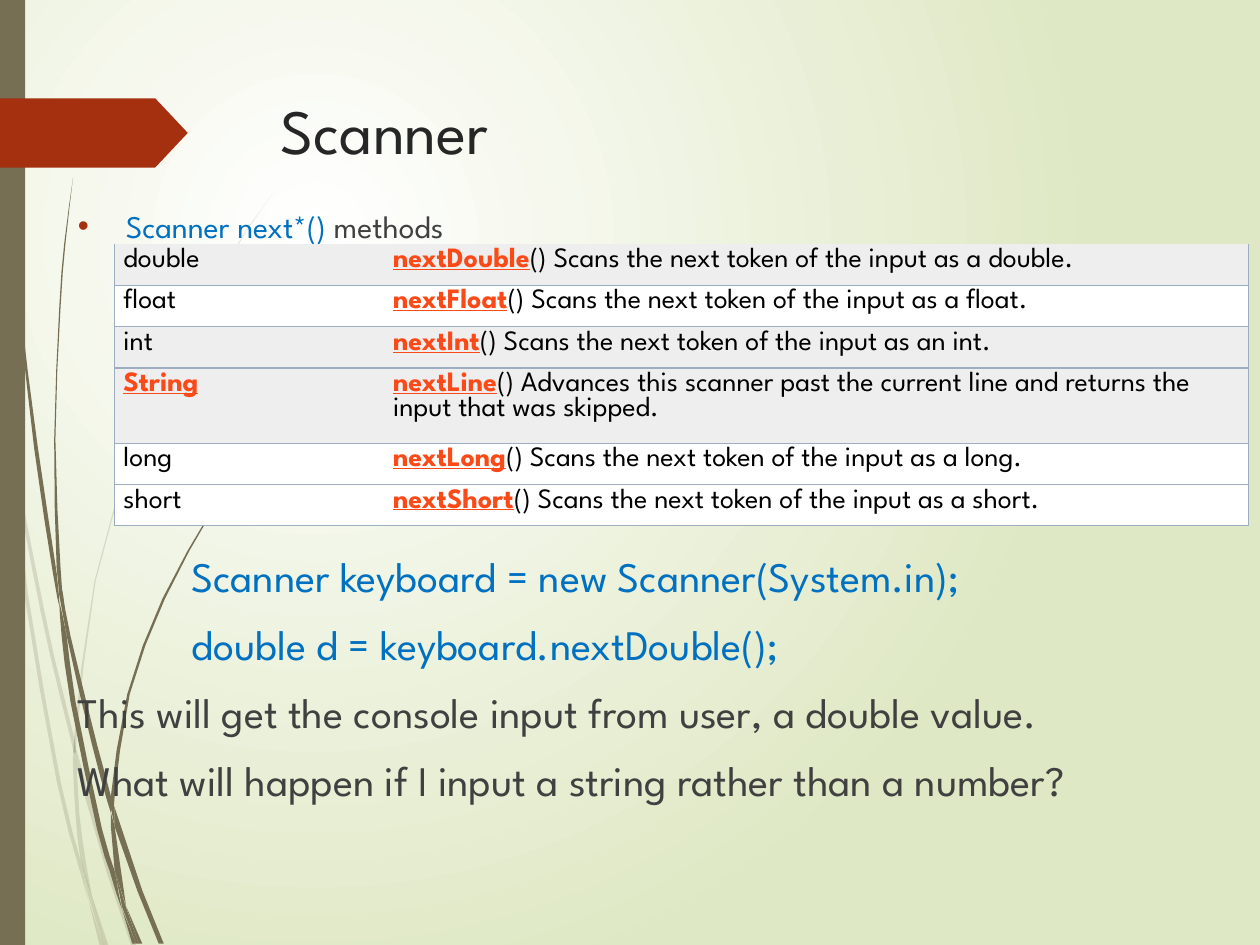
from pptx import Presentation
from pptx.dml.color import RGBColor
from pptx.enum.shapes import MSO_SHAPE
from pptx.oxml import parse_xml
from pptx.oxml.ns import nsdecls, qn
from pptx.util import Inches, Pt

RECT, ARROW = MSO_SHAPE.RECTANGLE, MSO_SHAPE.PENTAGON

THEME = {
    "font": "League Spartan", "olive": "766F54", "rust": "A53010",
    "pale": "DFE8C4", "white": "FFFFFF", "grey": "EEEEEF", "rule": "9EADC0",
    "dark": "262626", "text": "404040", "blue": "0070C0", "link": "FB4A18",
    "black": "000000", "title": 36, "body": 24, "lead": 18, "cell": 16,
}

TITLE = "Scanner"
LEAD = [("Scanner next*()", "blue"), (" methods", "text")]
# text, colour, left indent in inches, space before in points
LINES = [
    ("Scanner keyboard = new Scanner(System.in);", "blue", 0.9, 175),
    ("double d = keyboard.nextDouble();", "blue", 0.9, 10),
    ("This will get the console input from user, a double value.", "text", 0, 10),
    ("What will happen if I input a string rather than a number?", "text", 0, 10),
]
SCAN = "() Scans the next token of the input as "
# type, method, rest, fill
ROWS = [
    ("double", "nextDouble", SCAN + "a\u00a0double.", "grey"),
    ("float", "nextFloat", SCAN + "a\u00a0float.", "white"),
    ("int", "nextInt", SCAN + "an\u00a0int.", "grey"),
    ("String", "nextLine", "() Advances this scanner past the current line "
     "and returns the input that was skipped.", "grey"),
    ("long", "nextLong", SCAN + "a\u00a0long.", "white"),
    ("short", "nextShort", SCAN + "a\u00a0short.", "white"),
]
COLS = (2.14, 6.86)
HIGH, TALL = 2.23, 0.6

# Each blade of grass is a list of (y, left edge, right edge).
FAINT = [
    [(2.82, 0, 0), (2.99, 0, .02), (3.22, .04, .06), (3.5, .08, .08)],
    [(3.45, .1, .1), (3.76, .12, .14), (4.49, .25, .28), (5.21, .4, .43),
     (5.86, .56, .59), (5.99, .59, .59)],
    [(5.96, .61, .61), (6.1, .61, .65), (6.93, .85, .88), (7.5, 1.04, 1.08)],
    [(7.11, .73, .73), (7.5, .83, .86)],
    [(3.5, .08, .08), (3.76, .1, .12), (4.7, .19, .22), (6.2, .45, .48),
     (6.83, .61, .64), (6.93, .64, .66), (7.14, .7, .7)],
    [(5.99, .58, .58), (6.1, .58, .61), (6.46, .6, .63), (6.83, .64, .68),
     (7.11, .73, .73)],
    [(1.53, 2.17, 2.17), (1.75, 2.01, 2.01), (1.98, 1.86, 1.87),
     (2.45, 1.58, 1.59), (3.48, 1.1, 1.11), (4.61, .75, .76),
     (5.84, .59, .61), (5.96, .6, .61)],
    [(7.14, .7, .7), (7.5, .79, .82)],
    [(5.86, .59, .59), (5.97, .58, .61), (6.1, .61, .61)],
    [(6.83, .65, .65), (6.92, .66, .67), (7.11, .7, .73), (7.5, .82, .83)],
]
SOLID = [
    [(0, .02, .03), (.48, .03, .04), (1.1, .05, .06), (2.33, .14, .15),
     (3.55, .27, .3), (4.55, .42, .45), (4.81, .47, .47)],
    [(4.72, .5, .5), (5.05, .53, .56), (5.91, .73, .77), (6.32, .84, .88),
     (6.45, .88, .88)],
    [(6.41, .91, .91), (6.56, .91, .96), (7.07, 1.09, 1.13), (7.49, 1.26, 1.3)],
    [(4.77, .47, .47), (5.05, .49, .53), (5.57, .56, .6), (6.58, .77, .81),
     (6.91, .87, .91), (7.08, .92, .94), (7.22, .97, .97)],
    [(1.41, .58, .58), (1.93, .51, .52), (2.45, .47, .48), (3.49, .43, .44),
     (4.5, .45, .48), (4.72, .49, .5)],
    [(7.19, 1, 1), (7.49, 1.1, 1.13)],
    [(4.49, .45, .45), (4.72, .47, .5), (5.05, .53, .53)],
    [(3.44, 2.15, 2.16), (3.73, 1.91, 1.92), (4.05, 1.68, 1.69),
     (4.75, 1.29, 1.31), (5.51, 1.01, 1.03), (6.32, .88, .91), (6.41, .91, .91)],
    [(7.22, .97, .97), (7.49, 1.05, 1.08)],
    [(6.45, .88, .88), (6.56, .88, .91), (6.91, .91, .96), (7.19, 1, 1)],
    [(6.31, .88, .88), (6.41, .88, .91), (6.56, .91, .91)],
    [(6.91, .91, .91), (7.2, .97, 1), (7.49, 1.08, 1.1)],
]


def color(name):
    """Give the theme colour of that name."""
    return RGBColor.from_string(THEME[name])


def paint(shape, name, alpha=None):
    """Fill a shape flat, with no line or shadow."""
    shape.shadow.inherit = False
    shape.fill.solid()
    shape.fill.fore_color.rgb = color(name)
    shape.line.fill.background()
    if alpha:
        tone = shape._element.spPr.find(".//" + qn("a:srgbClr"))
        tone.append(parse_xml(f'<a:alpha {nsdecls("a")} val="{alpha * 1000}"/>'))


def smooth(knots):
    """Add a Catmull-Rom midpoint to each inner span of the knots."""
    ends = [knots[0], *knots, knots[-1]]
    curve = []
    for a, b, c, d in zip(ends, ends[1:], ends[2:], ends[3:]):
        curve.append(b)
        if len(knots) > 4:
            curve.append(tuple((9 * (q + r) - p - s) / 16
                               for p, q, r, s in zip(a, b, c, d)))
    return curve + [knots[-1]]


def blade(shapes, knots, alpha=None):
    """Draw one blade, down its left edge and up its right."""
    rows = smooth(knots)
    edge = [(x, y) for y, x, _ in rows] + [(x, y) for y, _, x in rows[::-1]]
    edge = [(Inches(x), Inches(y)) for x, y in dict.fromkeys(edge)]
    pen = shapes.build_freeform(*edge[0])
    pen.add_line_segments(edge[1:], close=True)
    paint(pen.convert_to_shape(), "olive", alpha)


def write(para, text, size, name, **looks):
    """Add a run with theme font, size and colour."""
    run = para.add_run()
    run.text = text
    form = {"name": THEME["font"], "size": Pt(THEME[size]), **looks}
    for key, val in form.items():
        setattr(run.font, key, val)
    run.font.color.rgb = color(name)


def box(shapes, *place):
    """Add a wrapping text box and give its frame."""
    frame = shapes.add_textbox(*map(Inches, place)).text_frame
    frame.word_wrap = True
    return frame


def indent(para, left, hang=0):
    """Set left margin and hanging indent in inches."""
    props = para._p.get_or_add_pPr()
    props.set("marL", str(Inches(left)))
    props.set("indent", str(-Inches(hang)))
    return props


def border(cell, sides):
    """Rule the named sides of a cell and clear the rest."""
    props = cell._tc.get_or_add_tcPr()
    for at, side in enumerate("LRTB"):
        ink = (f'<a:solidFill><a:srgbClr val="{THEME["rule"]}"/></a:solidFill>'
               if side in sides else "<a:noFill/>")
        props.insert(at, parse_xml(
            f'<a:ln{side} {nsdecls("a")} w="{Pt(0.75)}">{ink}</a:ln{side}>'))


def backdrop(slide):
    """Lay the round gradient, the grass, the bar and the arrow."""
    fill = slide.background.fill
    fill.gradient()
    for stop, name, pos in zip(fill.gradient_stops, ("white", "pale"), (0, 1)):
        stop.color.rgb = color(name)
        stop.position = pos
    lin = slide._element.find(".//" + qn("a:lin"))
    lin.getparent().replace(lin, parse_xml(
        f'<a:path {nsdecls("a")} path="circle"><a:fillToRect l="50000" '
        't="50000" r="100000" b="100000"/></a:path>'))
    for group, alpha in ((FAINT, 20), (SOLID, None)):
        for knots in group:
            blade(slide.shapes, knots, alpha)
    for kind, place, name in ((RECT, (0, 0, 0.2, 7.5), "olive"),
                              (ARROW, (0, 0.78, 1.49, 0.55), "rust")):
        shape = slide.shapes.add_shape(kind, *map(Inches, place))
        paint(shape, name)
    shape.adjustments[0] = 0.47


def words(shapes):
    """Write the title and the body."""
    write(box(shapes, 2.13, 0.68, 7.21, 1.4).paragraphs[0], TITLE, "title", "dark")
    frame = box(shapes, 0.52, 1.59, 10, 5.39)
    para = frame.paragraphs[0]
    props = indent(para, 0.38, 0.38)
    for xml in (f'<a:buClr {nsdecls("a")}><a:srgbClr val="{THEME["rust"]}"/></a:buClr>',
                f'<a:buFont {nsdecls("a")} typeface="Arial"/>',
                f'<a:buChar {nsdecls("a")} char="\u2022"/>'):
        props.append(parse_xml(xml))
    for text, name in LEAD:
        write(para, text, "lead", name)
    for text, name, left, gap in LINES:
        para = frame.add_paragraph()
        indent(para, left)
        para.space_before = Pt(gap)
        write(para, text, "body", name)


def grid(shapes):
    """Build the table of methods."""
    table = shapes.add_table(len(ROWS), len(COLS), *map(
        Inches, (0.91, 1.94, sum(COLS), HIGH))).table
    table.first_row = table.horz_banding = False
    for col, wide in zip(table.columns, COLS):
        col.width = Inches(wide)
    pads = {"margin_left": 0.07, "margin_right": 0.03,
            "margin_top": 0.03, "margin_bottom": 0.03}
    link = {"bold": True, "underline": True}
    short = (HIGH - TALL) / (len(ROWS) - 1)
    for i, (kind, call, rest, tint) in enumerate(ROWS):
        table.rows[i].height = Inches(TALL if kind == "String" else short)
        for cell, side in zip(table.rows[i].cells, "LR"):
            for key, val in pads.items():
                setattr(cell, key, Inches(val))
            cell.fill.solid()
            cell.fill.fore_color.rgb = color(tint)
            border(cell, side + ("TB" if i else "B"))
        left, right = (cell.text_frame.paragraphs[0] for cell in table.rows[i].cells)
        if kind == "String":
            write(left, kind, "cell", "link", **link)
        else:
            write(left, kind, "cell", "black")
        write(right, call, "cell", "link", **link)
        write(right, rest, "cell", "black")


deck = Presentation()
deck.slide_width, deck.slide_height = Inches(10), Inches(7.5)
page = deck.slides.add_slide(deck.slide_layouts[6])
backdrop(page)
words(page.shapes)
grid(page.shapes)
deck.save("out.pptx")
